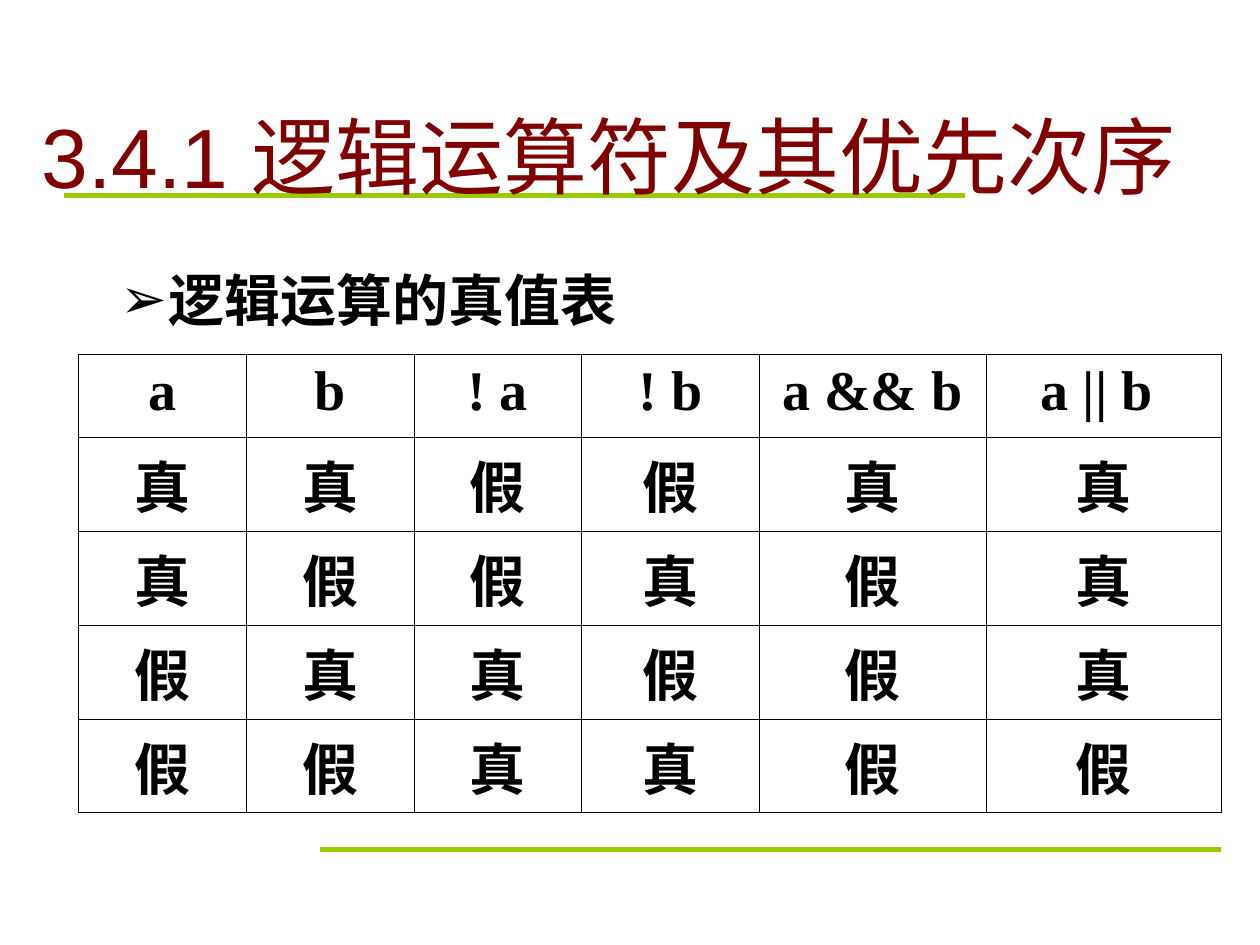
"""Build a slide with the truth table of the logical operators."""
import dataclasses
import itertools
from typing import Any

import lxml.etree
import pptx
import pptx.dml.color
import pptx.enum.shapes
import pptx.enum.text
import pptx.oxml
import pptx.oxml.ns
import pptx.util

SLIDE_WIDTH = pptx.util.Inches(10)
SLIDE_HEIGHT = pptx.util.Inches(7.5)
BLACK = pptx.dml.color.RGBColor(0x00, 0x00, 0x00)
MAROON = pptx.dml.color.RGBColor(0x80, 0x00, 0x00)
GREEN = pptx.dml.color.RGBColor(0x99, 0xCC, 0x00)

TITLE_FORMAT = {"name": "Arial", "size": pptx.util.Pt(48), "bold": False}
LIST_FORMAT = {"name": "Arial", "size": pptx.util.Pt(32), "bold": True}
CELL_FORMAT = {**LIST_FORMAT, "name": "Times New Roman"}

HEADINGS = ("a", "b", "! a", "! b", "a && b", "a || b ")
COLUMN_SHARES = (13.3, 13.3, 13.3, 14.1, 18, 18.7)
ROW_SHARE = 8.8
CELL_MARGIN = pptx.util.Inches(0.08)
BORDER_WIDTH = pptx.util.Pt(0.45)


@dataclasses.dataclass(frozen=True)
class Frame:
    """A rectangle in percent of the slide's width and height."""

    left: float
    top: float
    width: float
    height: float

    def lengths(self) -> tuple[int, int, int, int]:
        """Return left, top, width and height as slide lengths."""
        return across(self.left), down(self.top), across(self.width), down(self.height)


@dataclasses.dataclass(frozen=True)
class Rule:
    """A horizontal rule in percent of the slide's size."""

    left: float
    top: float
    width: float = 71.5


TITLE_FRAME = Frame(2.3, 7.33, 93.8, 18.13)
LIST_FRAME = Frame(8.6, 26, 47.7, 9.33)
TABLE_FRAME = Frame(6.25, 37.47, sum(COLUMN_SHARES), 5 * ROW_SHARE)
RULES = (Rule(5.1, 20.67), Rule(25.4, 89.87))


def across(share: float) -> int:
    """Convert a percentage of the slide's width to a length."""
    return round(SLIDE_WIDTH * share / 100)


def down(share: float) -> int:
    """Convert a percentage of the slide's height to a length."""
    return round(SLIDE_HEIGHT * share / 100)


def apply_format(target: Any, values: dict[str, Any]) -> None:
    """Set every named attribute on the target."""
    for name, value in values.items():
        setattr(target, name, value)


def format_font(font: Any, values: dict[str, Any], color: pptx.dml.color.RGBColor) -> None:
    """Apply font values and a solid colour."""
    apply_format(font, values)
    font.color.rgb = color


def fill_placeholder(shape: Any, frame: Frame, text: str, anchor: Any) -> Any:
    """Move a placeholder to a frame, write its text and return the paragraph."""
    apply_format(shape, dict(zip(("left", "top", "width", "height"), frame.lengths())))
    apply_format(shape.text_frame, {
        "text": text,
        "word_wrap": True,
        "auto_size": pptx.enum.text.MSO_AUTO_SIZE.NONE,
        "vertical_anchor": anchor,
    })
    return shape.text_frame.paragraphs[0]


def draw_rule(slide: Any, rule: Rule) -> None:
    """Draw a green rule behind the title."""
    line = slide.shapes.add_connector(
        pptx.enum.shapes.MSO_CONNECTOR.STRAIGHT,
        across(rule.left), down(rule.top),
        across(rule.left + rule.width), down(rule.top),
    )
    line.line.color.rgb = GREEN
    line.line.width = pptx.util.Pt(3)
    properties = line.element.find(pptx.oxml.ns.qn("p:spPr"))
    lxml.etree.SubElement(properties, pptx.oxml.ns.qn("a:effectLst"))
    slide.shapes.title.element.addprevious(line.element)


def write_title(shape: Any) -> None:
    """Write the section number and heading."""
    paragraph = fill_placeholder(
        shape, TITLE_FRAME, "3.4.1 逻辑运算符及其优先次序", pptx.enum.text.MSO_ANCHOR.MIDDLE
    )
    paragraph.alignment = pptx.enum.text.PP_ALIGN.LEFT
    format_font(paragraph.runs[0].font, TITLE_FORMAT, MAROON)


def write_list(shape: Any) -> None:
    """Write the arrow-bulleted line above the table."""
    paragraph = fill_placeholder(
        shape, LIST_FRAME, "逻辑运算的真值表", pptx.enum.text.MSO_ANCHOR.TOP
    )
    properties = paragraph._p.get_or_add_pPr()
    indent = pptx.util.Inches(0.38)
    properties.set("marL", str(indent))
    properties.set("indent", str(-indent))
    color = lxml.etree.SubElement(properties, pptx.oxml.ns.qn("a:buClr"))
    lxml.etree.SubElement(color, pptx.oxml.ns.qn("a:srgbClr"), val=str(BLACK))
    lxml.etree.SubElement(properties, pptx.oxml.ns.qn("a:buChar"), char="➢")
    apply_format(paragraph, {"line_spacing": 1.2, "space_before": pptx.util.Pt(0)})
    format_font(paragraph.runs[0].font, LIST_FORMAT, BLACK)


def draw_borders(cell: Any) -> None:
    """Give a cell a thin black line on each side."""
    properties = cell._tc.get_or_add_tcPr()
    for position, side in enumerate(("lnL", "lnR", "lnT", "lnB")):
        border = pptx.oxml.parse_xml(
            f'<a:{side} {pptx.oxml.ns.nsdecls("a")} w="{BORDER_WIDTH}">'
            f'<a:solidFill><a:srgbClr val="{BLACK}"/></a:solidFill></a:{side}>'
        )
        properties.insert(position, border)


def write_cell(cell: Any, text: str) -> None:
    """Write centred bold text in an unfilled, bordered cell."""
    apply_format(cell, {"text": text, "margin_left": CELL_MARGIN, "margin_right": CELL_MARGIN})
    cell.fill.background()
    draw_borders(cell)
    paragraph = cell.text_frame.paragraphs[0]
    paragraph.alignment = pptx.enum.text.PP_ALIGN.CENTER
    format_font(paragraph.runs[0].font, CELL_FORMAT, BLACK)


def truth_rows() -> list[tuple[str, ...]]:
    """Work out the table's rows from the two operands."""
    rows = [HEADINGS]
    for a, b in itertools.product((True, False), repeat=2):
        results = (a, b, not a, not b, a and b, a or b)
        rows.append(tuple("真" if result else "假" for result in results))
    return rows


def draw_table(slide: Any) -> None:
    """Draw the truth table."""
    rows = truth_rows()
    table = slide.shapes.add_table(len(rows), len(HEADINGS), *TABLE_FRAME.lengths()).table
    apply_format(table, {"first_row": False, "horz_banding": False})
    for column, share in zip(table.columns, COLUMN_SHARES):
        column.width = across(share)
    for row, texts in zip(table.rows, rows):
        row.height = down(ROW_SHARE)
        for cell, text in zip(row.cells, texts):
            write_cell(cell, text)


def main() -> None:
    """Build and save the presentation."""
    presentation = pptx.Presentation()
    apply_format(presentation, {"slide_width": SLIDE_WIDTH, "slide_height": SLIDE_HEIGHT})
    slide = presentation.slides.add_slide(presentation.slide_layouts[1])
    for rule in RULES:
        draw_rule(slide, rule)
    write_title(slide.shapes.title)
    draw_table(slide)
    write_list(slide.placeholders[1])
    presentation.save("out.pptx")


if __name__ == "__main__":
    main()
